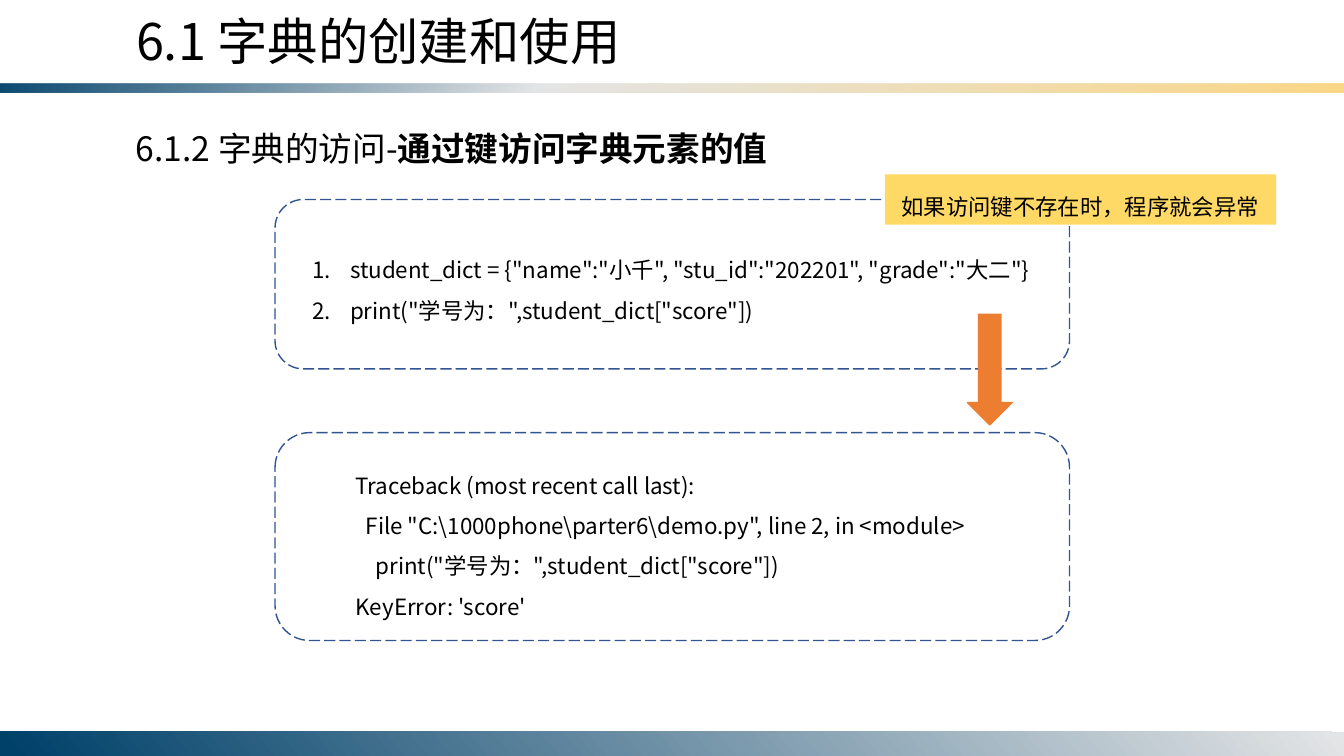
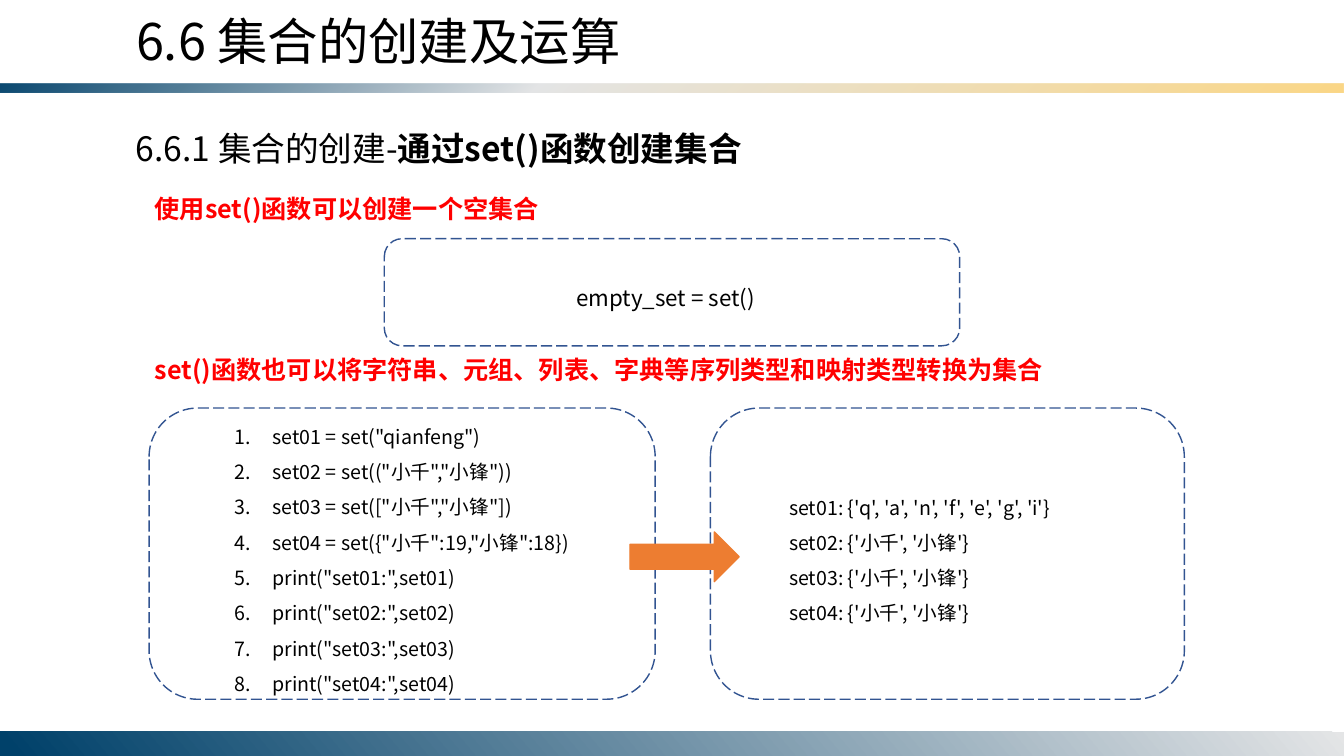
from dataclasses import dataclass
from typing import Sequence

from lxml import etree
from pptx import Presentation
from pptx.dml.color import RGBColor
from pptx.enum.dml import MSO_LINE
from pptx.enum.shapes import MSO_SHAPE
from pptx.enum.text import MSO_ANCHOR, MSO_AUTO_SIZE, PP_ALIGN
from pptx.oxml.ns import qn
from pptx.shapes.autoshape import Shape
from pptx.slide import Slide
from pptx.text.text import TextFrame
from pptx.util import Pt

RECTANGLE = MSO_SHAPE.RECTANGLE
ROUNDED = MSO_SHAPE.ROUNDED_RECTANGLE
DOWN_ARROW = MSO_SHAPE.DOWN_ARROW
RIGHT_ARROW = MSO_SHAPE.RIGHT_ARROW
LONG_DASH = MSO_LINE.LONG_DASH
TOP = MSO_ANCHOR.TOP
MIDDLE = MSO_ANCHOR.MIDDLE
FIT_SHAPE = MSO_AUTO_SIZE.SHAPE_TO_FIT_TEXT
LEFT = PP_ALIGN.LEFT
CENTER = PP_ALIGN.CENTER

BLACK = RGBColor(0x00, 0x00, 0x00)
RED = RGBColor(0xFF, 0x00, 0x00)
NAVY = RGBColor(0x00, 0x41, 0x6A)
SILVER = RGBColor(0xE4, 0xE5, 0xE6)
GOLD = RGBColor(0xFB, 0xD7, 0x86)
OUTLINE_BLUE = RGBColor(0x32, 0x54, 0x91)
ORANGE = RGBColor(0xED, 0x7D, 0x31)
NOTE_YELLOW = RGBColor(0xFF, 0xD9, 0x66)

FONT = "Noto Sans CJK SC"
SLIDE_WIDTH = 960
SLIDE_HEIGHT = 540
FOOTER_HEIGHT = 17.5
MARGIN = 90
NUMBER_INDENT = 27
PANEL_TOP = 291.5
PANEL_HEIGHT = 208


@dataclass(frozen=True)
class Box:
    left: float
    top: float
    width: float
    height: float

    def lengths(self) -> tuple[Pt, Pt, Pt, Pt]:
        return Pt(self.left), Pt(self.top), Pt(self.width), Pt(self.height)


@dataclass(frozen=True)
class Stop:
    percent: int
    color: RGBColor
    opacity: int = 100


@dataclass(frozen=True)
class Band:
    box: Box
    angle: int
    stops: tuple[Stop, ...]


@dataclass(frozen=True)
class CodePanel:
    outline: Box
    text: Box
    lines: tuple[str, ...]
    size: int = 16
    numbered: bool = False


BANDS = (
    Band(Box(0, 60, SLIDE_WIDTH, 6), 50,
         (Stop(0, NAVY, 95), Stop(40, SILVER), Stop(100, GOLD))),
    Band(Box(0, SLIDE_HEIGHT - FOOTER_HEIGHT, SLIDE_WIDTH, FOOTER_HEIGHT), 140,
         (Stop(0, SILVER), Stop(99, NAVY))),
)

ACCESS_CODE = CodePanel(
    Box(196.5, 142.5, 567.5, 121), Box(216, 170, 528.5, 65.5),
    ('student_dict = {"name":"小千", "stu_id":"202201", "grade":"大二"}',
     'print("学号为：",student_dict["score"])'),
    numbered=True)

TRACEBACK = CodePanel(
    Box(196.5, 309, 567.5, 148.5), Box(247, 324, 482.5, 124),
    ("Traceback (most recent call last):",
     '  File "C:\\1000phone\\parter6\\demo.py", line 2, in <module>',
     '    print("学号为：",student_dict["score"])',
     "KeyError: 'score'"))

EMPTY_SET = CodePanel(
    Box(274.5, 170.5, 411, 76.5), Box(404.5, 190, 151, 36),
    ("empty_set = set()",))

CONVERSIONS = CodePanel(
    Box(106.5, PANEL_TOP, 361.5, PANEL_HEIGHT), Box(160.5, PANEL_TOP, 269.5, 211),
    ('set01 = set("qianfeng")',
     'set02 = set(("小千","小锋"))',
     'set03 = set(["小千","小锋"])',
     'set04 = set({"小千":19,"小锋":18})',
     *(f'print("set0{n}:",set0{n})' for n in range(1, 5))),
    size=14, numbered=True)

RESULTS = CodePanel(
    Box(507.5, PANEL_TOP, 338.5, PANEL_HEIGHT), Box(556.5, 342, 240, 108.5),
    ("set01: {'q', 'a', 'n', 'f', 'e', 'g', 'i'}",
     *(f"set0{n}: {{'小千', '小锋'}}" for n in range(2, 5))),
    size=14)


def write(frame: TextFrame, lines: Sequence[str], *, size: int,
          color: RGBColor = BLACK, bold: bool = False, bold_tail: str = "",
          spacing: float = 1.0, align: PP_ALIGN = LEFT, anchor: MSO_ANCHOR = TOP,
          numbered: bool = False, first_indent: float = 0) -> None:
    frame.word_wrap = True
    frame.auto_size = FIT_SHAPE
    frame.vertical_anchor = anchor
    for index, line in enumerate(lines):
        paragraph = frame.paragraphs[0] if index == 0 else frame.add_paragraph()
        properties = paragraph._p.get_or_add_pPr()
        if numbered:
            properties.set("marL", str(Pt(NUMBER_INDENT)))
            properties.set("indent", str(Pt(-NUMBER_INDENT)))
            etree.SubElement(properties, qn("a:buAutoNum"), type="arabicPeriod")
        elif first_indent:
            properties.set("marL", "0")
            properties.set("indent", str(Pt(first_indent)))
        paragraph.alignment = align
        paragraph.line_spacing = spacing
        for content, heavy in ((line, bold), (bold_tail, True)):
            if not content:
                continue
            run = paragraph.add_run()
            run.text = content
            run.font.size = Pt(size)
            run.font.bold = heavy
            run.font.color.rgb = color
            run.font.name = FONT
            latin = run._r.get_or_add_rPr().find(qn("a:latin"))
            east_asian = etree.Element(qn("a:ea"), typeface=FONT)
            latin.addnext(east_asian)


def add_text_box(slide: Slide, box: Box) -> TextFrame:
    return slide.shapes.add_textbox(*box.lengths()).text_frame


def add_plain_shape(slide: Slide, kind: MSO_SHAPE, box: Box) -> Shape:
    shape = slide.shapes.add_shape(kind, *box.lengths())
    shape.shadow.inherit = False
    return shape


def add_band(slide: Slide, band: Band) -> None:
    strip = add_plain_shape(slide, RECTANGLE, band.box)
    strip.line.fill.background()
    gradient = etree.Element(qn("a:gradFill"), rotWithShape="1")
    stops = etree.SubElement(gradient, qn("a:gsLst"))
    for stop in band.stops:
        position = etree.SubElement(stops, qn("a:gs"), pos=str(stop.percent * 1000))
        tint = etree.SubElement(position, qn("a:srgbClr"), val=str(stop.color))
        if stop.opacity < 100:
            etree.SubElement(tint, qn("a:alpha"), val=str(stop.opacity * 1000))
    etree.SubElement(gradient, qn("a:lin"), ang=str(band.angle * 60000), scaled="0")
    strip._element.spPr.find(qn("a:prstGeom")).addnext(gradient)


def add_code_panel(slide: Slide, panel: CodePanel) -> None:
    write(add_text_box(slide, panel.text), panel.lines, size=panel.size,
          spacing=1.5, numbered=panel.numbered)
    outline = add_plain_shape(slide, ROUNDED, panel.outline)
    outline.fill.background()
    outline.line.color.rgb = OUTLINE_BLUE
    outline.line.width = Pt(1)
    outline.line.dash_style = LONG_DASH


def add_arrow(slide: Slide, kind: MSO_SHAPE, box: Box) -> None:
    arrow = add_plain_shape(slide, kind, box)
    arrow.fill.solid()
    arrow.fill.fore_color.rgb = ORANGE
    arrow.line.color.rgb = ORANGE
    arrow.line.width = Pt(1)


def add_statement(slide: Slide, top: float, statement: str) -> None:
    write(add_text_box(slide, Box(67.5, top, 778.5, 39.5)), [statement],
          size=18, color=RED, bold=True, spacing=1.5, first_indent=36)


def add_note(slide: Slide, box: Box, warning: str) -> None:
    note = add_plain_shape(slide, RECTANGLE, box)
    note.fill.solid()
    note.fill.fore_color.rgb = NOTE_YELLOW
    note.line.fill.background()
    write(note.text_frame, [warning], size=16, spacing=1.5,
          align=CENTER, anchor=MIDDLE)


def add_section_slide(deck: Presentation, heading: str, section: str,
                      topic: str, section_width: float) -> Slide:
    slide = deck.slides.add_slide(deck.slide_layouts[5])
    for band in BANDS:
        add_band(slide, band)
    title = slide.shapes.title
    title.left, title.top, title.width, title.height = Box(MARGIN, 3.5, 440.5, 51).lengths()
    write(title.text_frame, [heading], size=36)
    write(add_text_box(slide, Box(MARGIN, 88, section_width, 36)), [section],
          size=24, bold_tail=topic)
    return slide


def build_dictionary_slide(deck: Presentation) -> None:
    slide = add_section_slide(deck, "6.1 字典的创建和使用", "6.1.2 字典的访问-",
                              "通过键访问字典元素的值", 467.5)
    add_code_panel(slide, ACCESS_CODE)
    add_code_panel(slide, TRACEBACK)
    add_arrow(slide, DOWN_ARROW, Box(691, 224.5, 32, 79))
    add_note(slide, Box(632, 124.5, 279.5, 36), "如果访问键不存在时，程序就会异常")


def build_set_slide(deck: Presentation) -> None:
    slide = add_section_slide(deck, "6.6 集合的创建及运算", "6.6.1 集合的创建-",
                              "通过set()函数创建集合", 575)
    add_statement(slide, 124, "使用set()函数可以创建一个空集合")
    add_code_panel(slide, EMPTY_SET)
    add_statement(slide, 239, "set()函数也可以将字符串、元组、列表、字典等序列类型和映射类型转换为集合")
    add_code_panel(slide, CONVERSIONS)
    add_code_panel(slide, RESULTS)
    add_arrow(slide, RIGHT_ARROW, Box(450, 380, 78, 35.5))


def main() -> None:
    deck = Presentation()
    deck.slide_width = Pt(SLIDE_WIDTH)
    deck.slide_height = Pt(SLIDE_HEIGHT)
    build_dictionary_slide(deck)
    build_set_slide(deck)
    deck.save("out.pptx")


if __name__ == "__main__":
    main()
